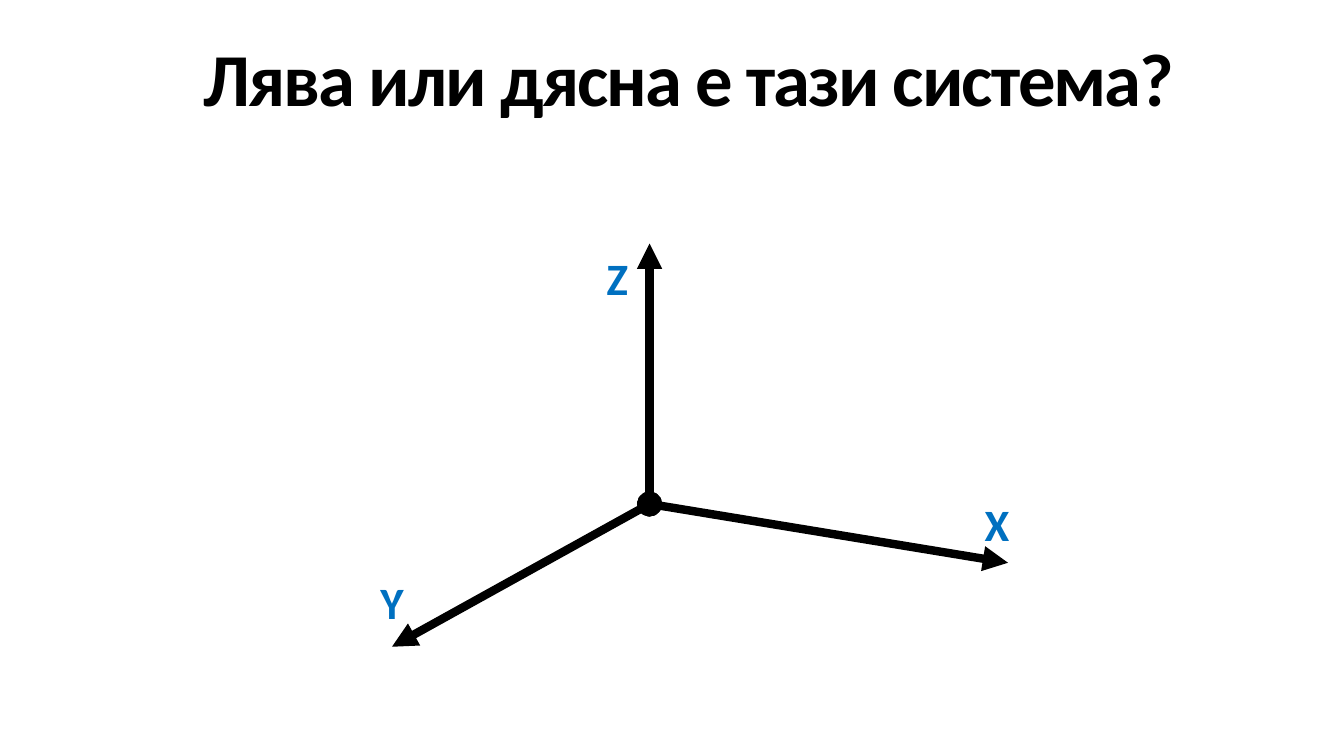
from dataclasses import dataclass

from lxml import etree
from pptx import Presentation
from pptx.dml.color import RGBColor
from pptx.enum.shapes import MSO_CONNECTOR
from pptx.enum.text import MSO_ANCHOR, PP_ALIGN
from pptx.oxml.ns import qn
from pptx.slide import Slide
from pptx.util import Emu, Pt

LINE = MSO_CONNECTOR.STRAIGHT
TOP, MIDDLE = MSO_ANCHOR.TOP, MSO_ANCHOR.MIDDLE
LEFT, CENTER = PP_ALIGN.LEFT, PP_ALIGN.CENTER
SCALE = 9525


@dataclass(frozen=True)
class Theme:
    font: str = "Calibri"
    ink: RGBColor = RGBColor(0, 0, 0)
    blue: RGBColor = RGBColor(0x00, 0x70, 0xC0)
    title: int = 40
    label: int = 24
    stroke: float = 4.5


@dataclass(frozen=True)
class Box:
    left: int
    top: int
    width: int
    height: int


@dataclass(frozen=True)
class Axis:
    name: str
    tip: tuple[int, int]
    label: tuple[int, int]


THEME = Theme()
ORIGIN = (464, 360)
AXES = [
    Axis("X", (720, 402), (680, 350)),
    Axis("Y", (280, 462), (248, 406)),
    Axis("Z", (464, 174), (409, 174)),
]


def px(count: int) -> Emu:
    return Emu(count * SCALE)


def add_text(slide: Slide, text: str, box: Box, size: int, color: RGBColor,
             align: PP_ALIGN, anchor: MSO_ANCHOR, track: int = 0) -> None:
    shape = slide.shapes.add_textbox(
        px(box.left), px(box.top), px(box.width), px(box.height))
    frame = shape.text_frame
    frame.word_wrap = True
    frame.vertical_anchor = anchor
    frame.text = text
    para = frame.paragraphs[0]
    para.alignment = align
    run = para.runs[0]
    font = run.font
    font.name = THEME.font
    font.size = Pt(size)
    font.bold = True
    font.color.rgb = color
    if track:
        run._r.get_or_add_rPr().set("spc", str(track))


def add_axis(slide: Slide, axis: Axis) -> None:
    start = map(px, ORIGIN)
    end = map(px, axis.tip)
    arrow = slide.shapes.add_connector(LINE, *start, *end)
    arrow.line.color.rgb = THEME.ink
    arrow.line.width = Pt(THEME.stroke)
    stroke = arrow.line._get_or_add_ln()
    for tag, kind in (("a:headEnd", "oval"), ("a:tailEnd", "triangle")):
        etree.SubElement(stroke, qn(tag), type=kind)
    etree.SubElement(arrow._element.spPr, qn("a:effectLst"))


def main() -> None:
    deck = Presentation()
    deck.slide_width, deck.slide_height = px(960), px(540)
    slide = deck.slides.add_slide(deck.slide_layouts[6])
    add_text(slide, "Лява или дясна е тази система?", Box(136, 14, 824, 82),
             THEME.title, THEME.ink, LEFT, MIDDLE, track=-100)
    for axis in AXES:
        add_axis(slide, axis)
    for axis in AXES:
        add_text(slide, axis.name, Box(*axis.label, 64, 72),
                 THEME.label, THEME.blue, CENTER, TOP)
    deck.save("out.pptx")


if __name__ == "__main__":
    main()
